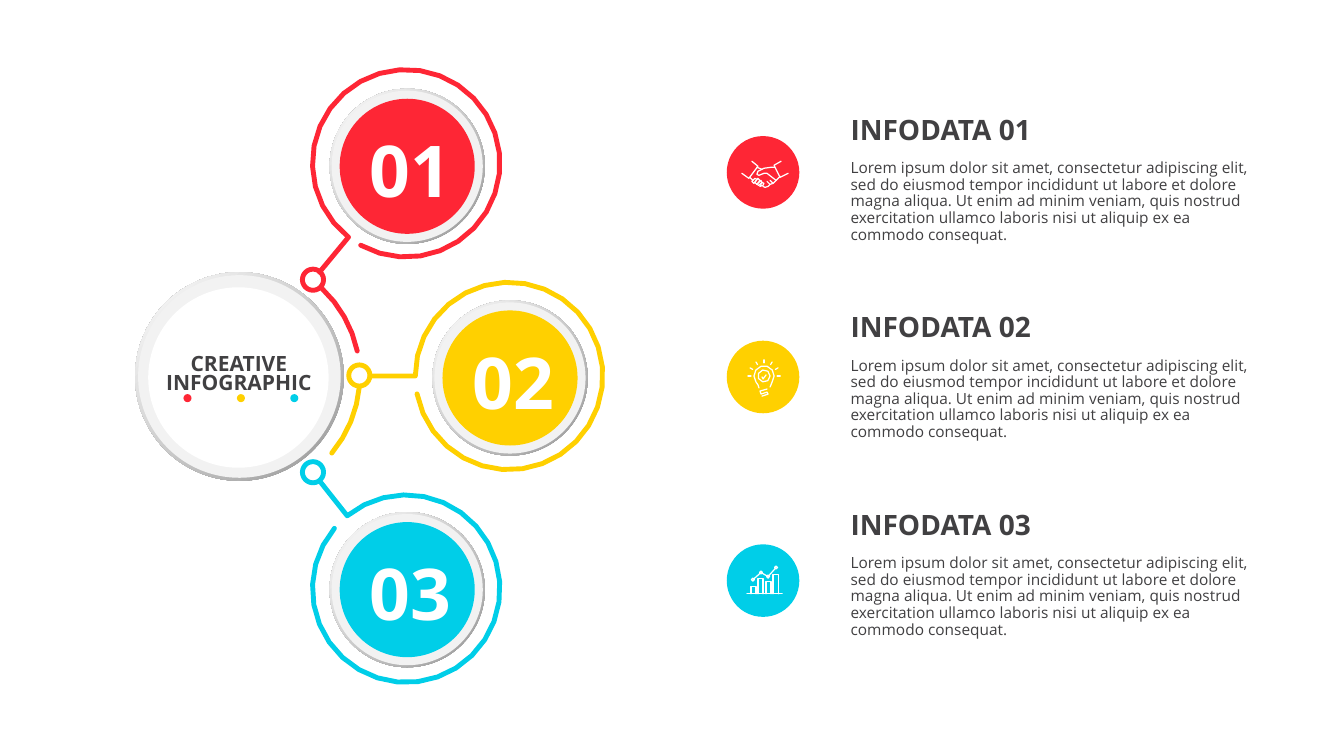
from math import cos, radians, sin, sqrt

from pptx import Presentation, util as u
from pptx.dml.color import RGBColor
from pptx.enum import shapes, text
from pptx.oxml.ns import qn

PX = 9144  # one px is a hundredth of an inch
RED, YELLOW, CYAN = "FE2635", "FFD000", "00CEE8"
WHITE, PALE, GREY, INK = "FFFFFF", "F2F2F2", "979797", "414042"
BODY = ("Lorem ipsum dolor sit amet, consectetur adipiscing elit, sed do eiusmod "
        "tempor incididunt ut labore et dolore magna aliqua. Ut enim ad minim "
        "veniam, quis nostrud exercitation ullamco laboris nisi ut aliquip ex ea "
        "commodo consequat.")
hex_color = RGBColor.from_string


def arc(cx, cy, radius, start, end):
    """Points along a circle; degrees run clockwise from the right."""
    steps = max(4, round(sqrt(radius) * (end - start) / 120))
    angles = [radians(start + (end - start) * i / steps) for i in range(steps + 1)]
    return [(cx + radius * cos(a), cy + radius * sin(a)) for a in angles]


def write(words, left, top, width, height, size, color=INK, bold=False, center=False,
          wrap=True, inset=(0, 0), spacing=None, before=0, box=None):
    box = box or page.shapes.add_textbox(0, 0, 0, 0)
    box.left, box.top, box.width, box.height = (v * PX for v in (left, top, width, height))
    frame = box.text_frame
    frame.text = words
    frame.word_wrap = wrap
    frame.auto_size = text.MSO_AUTO_SIZE.NONE
    frame.vertical_anchor = text.MSO_ANCHOR.TOP
    frame.margin_left = frame.margin_right = inset[0] * PX
    frame.margin_top = frame.margin_bottom = inset[1] * PX
    for para in frame.paragraphs:
        para.alignment = text.PP_ALIGN.CENTER if center else text.PP_ALIGN.LEFT
        para.space_before = u.Pt(before)
        if spacing:
            para.line_spacing = spacing
        for span in para.runs:
            span.font.name = "Open Sans"
            span.font.size = u.Pt(size)
            span.font.bold = bold
            span.font.color.rgb = hex_color(color)


deck = Presentation()
deck.slide_width, deck.slide_height = u.Emu(12192000), 750 * PX
page = deck.slides.add_slide(deck.slide_layouts[5])

# Stations: colour, ring centre, ring angles, link start, node corner, disc centre, icon top
stations = [
    (RED, (403, 162), (128, 479), (317, 270), (300, 267), (404, 165), 135),
    (YELLOW, (505, 373), (180, 529), (367, 373), (346, 362), (506, 375), 338),
    (CYAN, (403, 584), (231, 580), (317, 477), (300, 458), (404, 585), 540),
]

# Outlines: colour, width in points, strokes
outlines = [(RED, 3.5, [arc(238, 373, 119, -47, -12)]),
            (YELLOW, 3.5, [arc(238, 373, 119, 5, 40)])]
# Discs: left, top, diameter, fill (None for an open node), line
discs = []
for color, ring, angles, link, node, disc, icon_top in stations:
    outlines.append((color, 3.5, [[link] + arc(*ring, 93, *angles)]))
    discs.append((*node, 21, None, color))
    for size, fill in ((154, "gradient"), (150, PALE), (134, color)):
        discs.append((disc[0] - size // 2, disc[1] - size // 2, size, fill, None))
    discs.append((721, icon_top, 72, color, None))

# Hub and its three dots
discs += [(134, 270, 207, "gradient", None), (137, 273, 201, PALE, None),
          (147, 285, 179, WHITE, None)]
discs += [(182 + 53 * i, 391, 8, station[0], None) for i, station in enumerate(stations)]

# Icon strokes: handshake, light bulb, bar chart
handshake = [
    [(748, 182), (746, 180), (749, 177), (751, 178), (748, 182)],
    [(751, 183), (754, 179), (752, 177), (749, 181), (751, 183)],
    [(753, 184), (756, 181), (755, 179), (751, 183), (753, 184)],
    [(757, 184), (758, 182), (756, 181), (754, 185), (757, 184)],
    [(757, 185), (759, 186), (762, 185), (764, 183), (767, 182), (770, 179)],
    [(761, 180), (764, 183)],
    [(764, 179), (767, 182)],
    [(775, 160), (768, 164), (774, 176), (782, 172)],
    [(769, 166), (765, 166), (758, 167), (752, 170), (751, 173),
     (753, 174), (758, 172), (761, 172), (770, 179), (774, 175)],
    [(736, 172), (743, 177), (752, 165), (746, 160)],
    [(744, 176), (747, 179)],
    [(756, 168), (751, 166)],
]
bulb = [
    [(753, 385), (752, 382)] + arc(758, 373, 10, 143, 397) + [(764, 384)],
    arc(758, 373, 6, 0, 360),
    [(756, 374), (757, 376), (760, 372)],
    [(761, 386), (754, 388), (755, 391), (761, 389), (762, 391), (756, 393)],
]
for angle in range(180, 361, 30):
    bulb.append([arc(758, 373, radius, angle, angle)[0] for radius in (13, 16)])
trend = [(747, 575), (755, 568), (762, 572), (770, 563)]
chart = [[(741, 589), (776, 589)], trend]
chart += [arc(*dot, 1.5, 0, 360) for dot in trend]
for left, top in ((745, 582), (752, 574), (760, 577), (767, 570)):
    chart.append([(left, 589), (left, top), (left + 5, top), (left + 5, 589)])
outlines += [(WHITE, 0.88, strokes) for strokes in (handshake, bulb, chart)]

# Draw discs
for left, top, size, fill, line in discs:
    disc = page.shapes.add_shape(shapes.MSO_SHAPE.OVAL, left * PX, top * PX, size * PX, size * PX)
    disc.shadow.inherit = False
    if fill == "gradient":
        disc.fill.gradient()
        disc.fill.gradient_angle = 135
        for stop, shade in zip(disc.fill.gradient_stops, (GREY, WHITE)):
            stop.color.rgb = hex_color(shade)
    elif fill:
        disc.fill.solid()
        disc.fill.fore_color.rgb = hex_color(fill)
    else:
        disc.fill.background()
    if line:
        disc.line.color.rgb = hex_color(line)
        disc.line.width = u.Pt(3.5)
    else:
        disc.line.fill.background()

# Draw outlines with round ends
for color, width, strokes in outlines:
    strokes = [[(round(x * PX), round(y * PX)) for x, y in stroke] for stroke in strokes]
    builder = page.shapes.build_freeform(*strokes[0][0], scale=1.0)
    for number, stroke in enumerate(strokes):
        if number:
            builder.move_to(*stroke[0])
        builder.add_line_segments(stroke[1:], close=False)
    outline = builder.convert_to_shape()
    outline.shadow.inherit = False
    outline.fill.background()
    outline.line.color.rgb = hex_color(color)
    outline.line.width = u.Pt(width)
    outline.element.spPr.find(qn("a:ln")).set("cap", "rnd")

# Title, brought in front of the hub
title = page.shapes.title
write("CREATIVE\nINFOGRAPHIC", 164, 355, 146, 40, 15, bold=True, center=True,
      wrap=False, spacing=u.Pt(13), box=title)
title.element.getparent().append(title.element)

# Numbers, headings and body text
for i, station in enumerate(stations):
    cx, cy = station[5]
    write(f"0{i + 1}", cx - 38, cy - 40, 82, 86, 51, color=WHITE, bold=True,
          center=True, wrap=False)
    write(f"INFODATA 0{i + 1}", 834, 110 + 196 * i, 277, 59, 20, bold=True,
          inset=(10, 5), spacing=0.9, before=10)
    write(BODY, 834, 154 + 196 * i, 422, 106, 11, inset=(10, 5), spacing=0.9, before=10)

deck.save("out.pptx")
